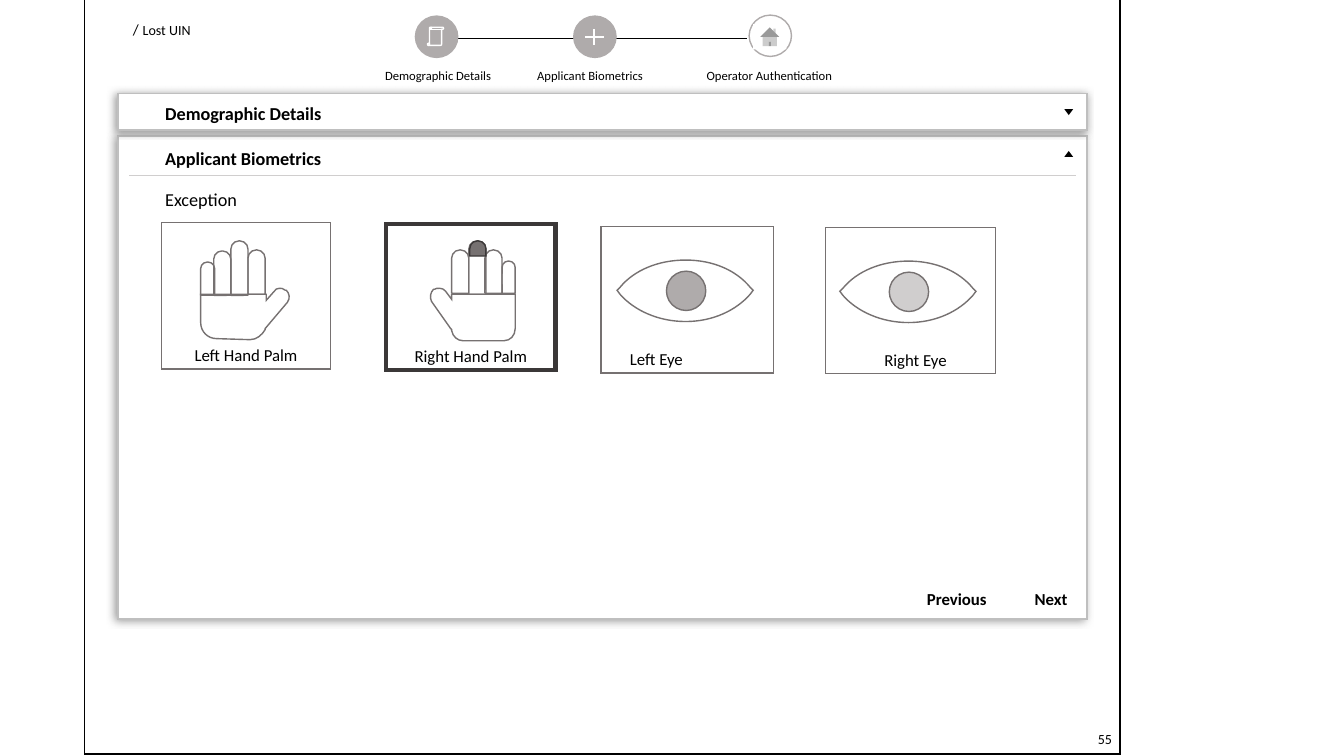
"""Builds the biometric exception screen of the lost UIN flow."""
from lxml import etree
from pptx import Presentation
from pptx.dml.color import RGBColor
from pptx.enum.shapes import MSO_CONNECTOR, MSO_SHAPE as SHAPE
from pptx.enum.text import MSO_AUTO_SIZE as FIT, PP_ALIGN as ALIGN
from pptx.oxml.ns import qn
from pptx.util import Pt

PX = 9144
COLORS = {
    "white": "FFFFFF", "black": "000000", "border": "BFBFBF", "step": "AFABAB",
    "outline": "767171", "selected": "3B3838", "pale": "D0CECE", "shadow": "808080",
}

deck = Presentation()
deck.slide_width, deck.slide_height = 1333 * PX, 750 * PX
slide = deck.slides.add_slide(deck.slide_layouts[6])
shapes = slide.shapes


def style(shape, fill, line, weight):
    shape.shadow.inherit = False
    if fill:
        shape.fill.solid()
        shape.fill.fore_color.rgb = RGBColor.from_string(COLORS[fill])
    else:
        shape.fill.background()
    if line:
        shape.line.color.rgb = RGBColor.from_string(COLORS[line])
        shape.line.width = Pt(weight)
        etree.SubElement(shape.element.spPr.find(qn("a:ln")), qn("a:miter"), lim="800000")
    else:
        shape.line.fill.background()


def draw(preset, box, fill=None, line="outline", weight=1, adjust=()):
    shape = shapes.add_shape(preset, *(edge * PX for edge in box))
    for index, value in enumerate(adjust):
        shape.adjustments[index] = value
    style(shape, fill, line, weight)
    return shape


for panel_box in [(117, 135, 961, 479), (117, 93, 961, 36)]:
    panel = draw(SHAPE.ROUNDED_RECTANGLE, panel_box, "white", "border", adjust=[0])
    effects = panel.element.spPr.find(qn("a:effectLst"))
    glow = etree.SubElement(effects, qn("a:outerShdw"), blurRad=str(Pt(6)),
                            dist=str(Pt(2)), dir=str(170 * 60000),
                            algn="ctr", rotWithShape="0")
    tint = etree.SubElement(glow, qn("a:srgbClr"), val=COLORS["shadow"])
    etree.SubElement(tint, qn("a:alpha"), val="80000")

draw(SHAPE.RECTANGLE, (84, -2, 1027, 750), None, "black")
for arrow_top, turn in [(109, 180), (151, 0)]:
    arrow = draw(SHAPE.ISOSCELES_TRIANGLE, (1057, arrow_top, 6, 4), "black", "black")
    arrow.rotation = turn

for start, end, y, color in [
    (454, 569, 38, "black"), (611, 741, 38, "black"), (128, 1067, 174, "pale"),
]:
    rule = shapes.add_connector(MSO_CONNECTOR.STRAIGHT, start * PX, y * PX, end * PX, y * PX)
    rule.line.color.rgb = RGBColor.from_string(COLORS[color])
    rule.line.width = Pt(0.5)
    etree.SubElement(rule.element.spPr, qn("a:effectLst"))

for left, top, fill in [(412, 16, "step"), (569, 16, "step"), (743, 15, "white")]:
    draw(SHAPE.OVAL, (left, top, 42, 41), fill, "step")
draw(SHAPE.VERTICAL_SCROLL, (424, 27, 16, 18), "step", "white")
for plus_top, edge_color in [(29, "step"), (27, "white")]:
    draw(SHAPE.MATH_PLUS, (578, plus_top, 23, 19), "white", edge_color, adjust=[0.042])
draw(SHAPE.ACTION_BUTTON_HOME, (747, 24, 33, 25), "white", None)

for card_box, line, weight in [
    ((160, 221, 168, 145), "outline", 1),
    ((383, 222, 168, 145), "selected", 3),
    ((596, 225, 171, 145), "outline", 1),
    ((819, 226, 168, 145), "outline", 0.75),
]:
    draw(SHAPE.FLOWCHART_PROCESS, card_box, None, line, weight)

for finger_box in [
    (199, 260, 14, 33), (212, 249, 17, 44), (229, 239, 17, 54), (246, 248, 17, 44),
    (448, 248, 17, 43), (465, 239, 17, 53), (481, 248, 17, 43), (498, 259, 13, 32),
]:
    draw(SHAPE.ROUND_2_SAME_RECTANGLE, finger_box, adjust=[0.478, 0.033])
draw(SHAPE.ROUND_2_SAME_RECTANGLE, (466, 239, 16, 15), "outline", "selected",
     adjust=[0.5, 0])

left_palm = [
    (277, 286), (279, 286, 281, 286, 283, 288), (284, 288),
    (287, 291, 288, 296, 285, 300), (263, 326), (263, 327),
    (260, 332, 255, 337, 248, 337), (215, 336), (206, 336, 199, 329, 199, 320),
    (199, 292), (264, 292), (264, 298), (272, 289), (273, 287, 275, 286, 277, 286),
]
right_palm = [
    (436, 286), (438, 286, 441, 287, 442, 289), (448, 297), (448, 292), (511, 292),
    (511, 326), (511, 333, 506, 338, 500, 338), (459, 338),
    (454, 338, 449, 334, 448, 328), (448, 327), (447, 326, 447, 326, 447, 326),
    (428, 299), (426, 295, 427, 290, 430, 287), (431, 287),
    (432, 286, 434, 286, 436, 286),
]
eye = [
    (680, 258), (707, 258, 730, 268, 744, 285), (747, 288), (744, 292),
    (730, 308, 707, 319, 680, 319), (653, 319, 629, 308, 615, 292), (612, 288),
    (615, 285), (629, 268, 653, 258, 680, 258),
]
for outline, dx, dy in [(left_palm, 0, 0), (right_palm, 0, 0), (eye, 0, 0), (eye, 221, 1)]:
    track = [((x + dx) * PX, (y + dy) * PX)
             for segment in outline for x, y in zip(segment[::2], segment[1::2])]
    builder = shapes.build_freeform(*track[0])
    builder.add_line_segments(track[1:], close=True)
    contour = builder.convert_to_shape()
    style(contour, None, "outline", 1)
    strokes = iter(list(contour.element.iter(qn("a:lnTo"))))
    for segment in outline[1:]:
        stroke = next(strokes)
        if len(segment) == 6:
            stroke.addprevious(curve := etree.Element(qn("a:cubicBezTo")))
            for handle in (stroke, next(strokes), next(strokes)):
                curve.append(handle[0])
                handle.getparent().remove(handle)

for iris_left, iris_top, fill in [(661, 269, "step"), (882, 270, "pale")]:
    draw(SHAPE.OVAL, (iris_left, iris_top, 39, 39), fill)

heading = {"size": Pt(13), "bold": True}
section = {"size": Pt(13), "bold": False}
button = {"size": Pt(12), "bold": True}
caption = {"size": Pt(12), "bold": False}
step_name = {"size": Pt(9), "bold": False}
crumb = {"size": Pt(10), "bold": False}
slash = {"size": Pt(11), "bold": False}

for box, runs, align, wrap in [
    ((154, 97, 223, 32), [("Demographic Details", heading)], ALIGN.LEFT, True),
    ((154, 141, 223, 32), [("Applicant Biometrics", heading)], ALIGN.LEFT, True),
    ((154, 182, 223, 32), [("Exception", section)], ALIGN.LEFT, True),
    ((909, 579, 80, 30), [("Previous", button)], ALIGN.CENTER, False),
    ((1016, 579, 53, 30), [("Next", button)], ALIGN.CENTER, False),
    ((372, 62, 131, 25), [("Demographic Details", step_name)], ALIGN.LEFT, True),
    ((523, 62, 133, 25), [("Applicant Biometrics", step_name)], ALIGN.LEFT, True),
    ((691, 62, 146, 25), [("Operator Authentication", step_name)], ALIGN.LEFT, True),
    ((160, 337, 168, 30), [("Left Hand Palm", caption)], ALIGN.CENTER, True),
    ((383, 338, 168, 30), [("Right Hand Palm", caption)], ALIGN.CENTER, True),
    ((567, 341, 168, 30), [("Left Eye", caption)], ALIGN.CENTER, True),
    ((824, 342, 168, 30), [("Right Eye", caption)], ALIGN.CENTER, True),
    ((122, 14, 78, 30), [("/", slash), (" ", caption), ("Lost UIN", crumb)],
     ALIGN.LEFT, False),
    ((1079, 720, 48, 27), [("55", crumb)], ALIGN.LEFT, True),
]:
    frame = shapes.add_textbox(*(edge * PX for edge in box)).text_frame
    frame.word_wrap = wrap
    frame.auto_size = FIT.SHAPE_TO_FIT_TEXT
    paragraph = frame.paragraphs[0]
    paragraph.alignment = align
    for words, look in runs:
        run = paragraph.add_run()
        run.text = words
        run.font.color.rgb = RGBColor.from_string(COLORS["black"])
        for attribute, value in {"name": "Calibri", **look}.items():
            setattr(run.font, attribute, value)

deck.save("out.pptx")
